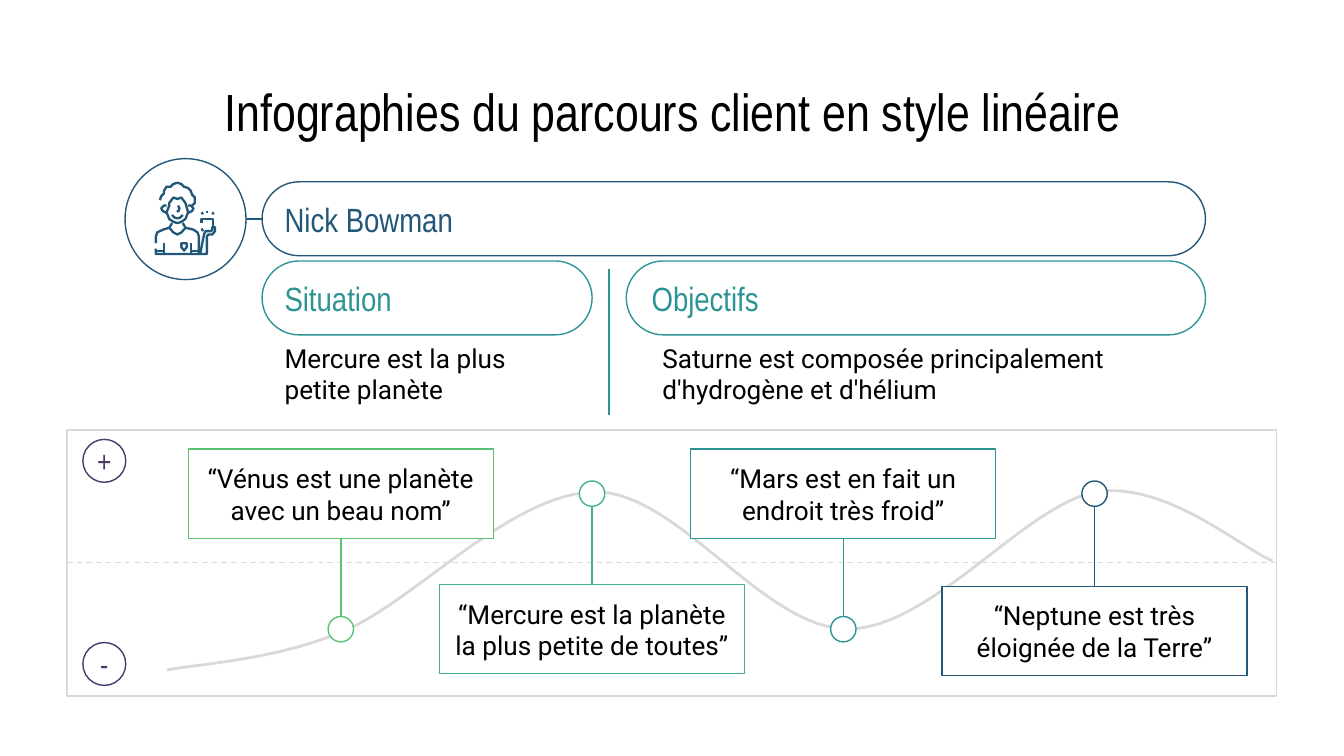
"""Build a customer journey infographic slide with a persona header and a mood curve."""
import pptx
import pptx.dml.color
import pptx.enum.dml
import pptx.enum.shapes
import pptx.enum.text
import pptx.oxml.ns
import pptx.util
from lxml import etree

Pt = pptx.util.Pt
RGB = pptx.dml.color.RGBColor.from_string
SHAPE = pptx.enum.shapes.MSO_SHAPE
ALIGN = pptx.enum.text.PP_ALIGN
ANCHOR = pptx.enum.text.MSO_ANCHOR

COLORS = {
    "black": "000000", "white": "FFFFFF", "grey": "D9D9D9", "navy": "22577A",
    "teal": "2D9496", "jade": "43B382", "green": "5BC273", "purple": "4B3869",
}
HEAD, BODY = "Arial Narrow", "Roboto"


def add_shape(kind, x, y, w, h, line, fill=None):
    sp = s.shapes.add_shape(kind, Pt(x), Pt(y), Pt(w), Pt(h))
    sp.shadow.inherit = False
    sp.line.color.rgb = RGB(COLORS[line])
    sp.line.width = Pt(0.75)
    if fill:
        sp.fill.solid()
        sp.fill.fore_color.rgb = RGB(COLORS[fill])
    else:
        sp.fill.background()
    return sp


def write(sp, text, size, font, color, align=ALIGN.LEFT, anchor=ANCHOR.TOP, insets=(7.2,) * 4):
    tf = sp.text_frame
    tf.text = text
    tf.word_wrap = True
    tf.auto_size = pptx.enum.text.MSO_AUTO_SIZE.NONE
    tf.vertical_anchor = anchor
    tf.margin_left, tf.margin_top, tf.margin_right, tf.margin_bottom = map(Pt, insets)
    p = tf.paragraphs[0]
    p.alignment = align
    r = p.runs[0]
    r.font.size = Pt(size)
    r.font.name = font
    r.font.color.rgb = RGB(COLORS[color])


prs = pptx.Presentation()
prs.slide_width, prs.slide_height = Pt(720), Pt(405)
s = prs.slides.add_slide(prs.slide_layouts[5])

title = s.shapes.title
title.left, title.top, title.width, title.height = Pt(36), Pt(35.2), Pt(648), Pt(45)
write(title, "Infographies du parcours client en style linéaire", 28, HEAD, "black", ALIGN.CENTER)

knots = [
    (89.5, 359), (105, 355.7), (145.4, 354.2), (183.6, 338.4),
    (221.8, 322.6), (273.6, 264.2), (319, 263.5), (363.6, 263.5), (409, 337),
    (454.3, 337), (499, 337), (549.4, 270), (587.5, 263.5), (625, 257.8),
    (666, 294.5), (681.8, 300.5),
]
mood = [knots[0]]
for i in range(0, len(knots) - 1, 3):
    a, b, c, d = knots[i:i + 4]
    for step in range(1, 25):
        t = step / 24
        mood.append(tuple(
            (1 - t) ** 3 * a[k] + 3 * t * (1 - t) ** 2 * b[k] + 3 * t * t * (1 - t) * c[k] + t ** 3 * d[k]
            for k in range(2)))

persona = {
    "hair": [(4, 14), (5, 11), (7, 9), (7, 7), (9, 4), (12, 4), (14, 2), (17, 1), (20, 2), (22, 4),
             (25, 5), (27, 7), (28, 10), (30, 12), (30, 16), (28, 18)],
    "face": [(11, 18), (11, 16), (14, 12), (17, 13), (20, 12), (23, 16), (25, 23), (23, 28), (20, 30),
             (17, 31), (14, 30), (11, 28), (9, 23), (11, 18)],
    "left ear": [(9, 23.5), (6, 22), (5, 20), (7, 18), (9, 18)],
    "right ear": [(25, 23.5), (28, 22), (29, 20), (27, 18), (25, 18)],
    "nose": [(17.5, 18), (18.5, 20), (18, 22), (16.5, 22.5)],
    "smile": [(13, 25), (15, 27), (17, 27.5), (19, 27), (21, 25)],
    "left shoulder": [(1, 46), (1, 41), (2, 38), (6, 36), (11, 34.5), (13, 31)],
    "collar": [(11, 34.5), (14, 38), (17, 39.5), (20, 38), (23, 34.5)],
    "right shoulder": [(21, 31), (23, 34.5), (29, 36), (32, 38), (33, 41), (33, 54)],
    "arm": [(1, 50), (1, 54), (39, 54), (39, 41), (40, 39.5), (43, 39.5), (45, 37), (45, 34), (43, 34),
            (43, 36), (42, 37), (38, 37), (37, 39), (34, 54)],
    "left sleeve": [(7, 46), (7, 54)],
    "right sleeve": [(27, 46), (27, 54)],
    "left cuff": [(1, 52), (7, 52)],
    "right cuff": [(27, 52), (33, 52)],
    "pocket": [(20, 46), (24, 46), (24, 49), (22, 51.5), (20, 49), (20, 46)],
    "cup": [(35, 31), (35, 28), (43.5, 28), (43.5, 34)],
    "thumb": [(35, 35), (36, 37)],
    "steam left": [(35, 23), (36, 24.5)],
    "steam middle": [(39, 22), (39, 23.5)],
    "steam right": [(44, 23), (43, 24.5)],
}
strokes = [(mood, "grey", 1.5)]
for points in persona.values():
    strokes.append(([(82.8 + 0.72 * x, 97.2 + 0.72 * y) for x, y in points], "navy", 1.25))
for points, color, width in strokes:
    points = [(Pt(x), Pt(y)) for x, y in points]
    builder = s.shapes.build_freeform(*points[0])
    builder.add_line_segments(points[1:], close=False)
    sp = builder.convert_to_shape()
    sp.shadow.inherit = False
    sp.fill.background()
    sp.line.color.rgb = RGB(COLORS[color])
    sp.line.width = Pt(width)

add_shape(SHAPE.OVAL, 67, 85, 64.8, 64.8, "navy")
headers = [
    ("Nick Bowman", "navy", 140.4, 97.4, 505.4, 145.4, 494),
    ("Situation", "teal", 140.4, 139.8, 176.8, 145.4, 150),
    ("Objectifs", "teal", 335.5, 139.8, 310.3, 342, 150),
]
for text, color, x, y, w, label_x, label_w in headers:
    sp = add_shape(SHAPE.ROUNDED_RECTANGLE, x, y, w, 39.6, color)
    sp.adjustments[0] = 0.5
    sp = s.shapes.add_textbox(Pt(label_x), Pt(y + 2), Pt(label_w), Pt(35.3))
    write(sp, text, 18, HEAD, color)

details = [
    ("Mercure est la plus petite planète", 145.4, 150),
    ("Saturne est composée principalement d'hydrogène et d'hélium", 347.8, 291),
]
for text, x, w in details:
    sp = s.shapes.add_textbox(Pt(x), Pt(172), Pt(w), Pt(56))
    write(sp, text, 14, BODY, "black", anchor=ANCHOR.MIDDLE, insets=(7.2, 3.6, 3.6, 3.6))

add_shape(SHAPE.RECTANGLE, 36, 230.4, 648, 142.5, "grey")
for sign, y in (("+", 235.4), ("-", 344.2)):
    sp = add_shape(SHAPE.OVAL, 44.4, y, 23, 23, "purple")
    write(sp, sign, 16, HEAD, "purple", ALIGN.CENTER, ANCHOR.MIDDLE, (0,) * 4)

lines = [
    (326.2, 144, 326.2, 222.5, "teal"),
    (131.8, 117.4, 140.4, 117.4, "navy"),
    (36, 301.5, 684, 301.5, "grey"),
]
quotes = [
    ("“Vénus est une planète avec un beau nom”", "green", 240.6),
    ("“Mercure est la planète la plus petite de toutes”", "jade", 313.2),
    ("“Mars est en fait un endroit très froid”", "teal", 240.6),
    ("“Neptune est très éloignée de la Terre”", "navy", 314.2),
]
for i, (text, color, y) in enumerate(quotes):
    x = 100.9 + 134.6 * i
    center = x + 81.7
    sp = add_shape(SHAPE.RECTANGLE, x, y, 163.4, 47.8, color, "white")
    write(sp, text, 14, BODY, "black", ALIGN.CENTER)
    dot_y = 257.7 if i % 2 else 330.3
    add_shape(SHAPE.OVAL, center - 6.8, dot_y, 13.6, 13.6, color, "white")
    ends = (dot_y + 13.6, y) if i % 2 else (y + 47.8, dot_y)
    lines.append((center, ends[0], center, ends[1], color))

for x1, y1, x2, y2, color in lines:
    line = s.shapes.add_connector(
        pptx.enum.shapes.MSO_CONNECTOR.STRAIGHT, Pt(x1), Pt(y1), Pt(x2), Pt(y2))
    line.line.color.rgb = RGB(COLORS[color])
    line.line.width = Pt(0.75)
    if color == "grey":
        line.line.dash_style = pptx.enum.dml.MSO_LINE.DASH
    etree.SubElement(line._element.spPr, pptx.oxml.ns.qn("a:effectLst"))

prs.save("out.pptx")
